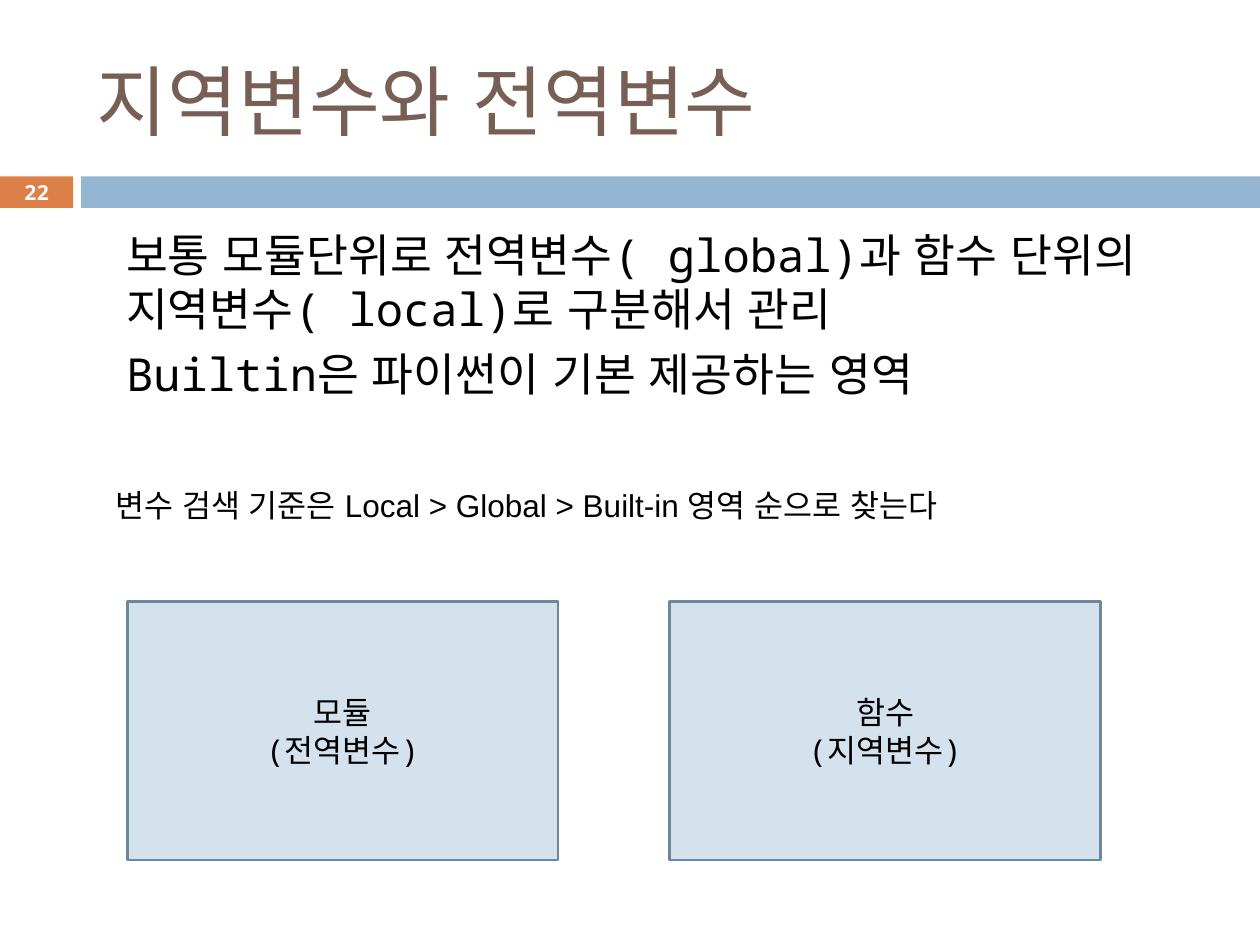
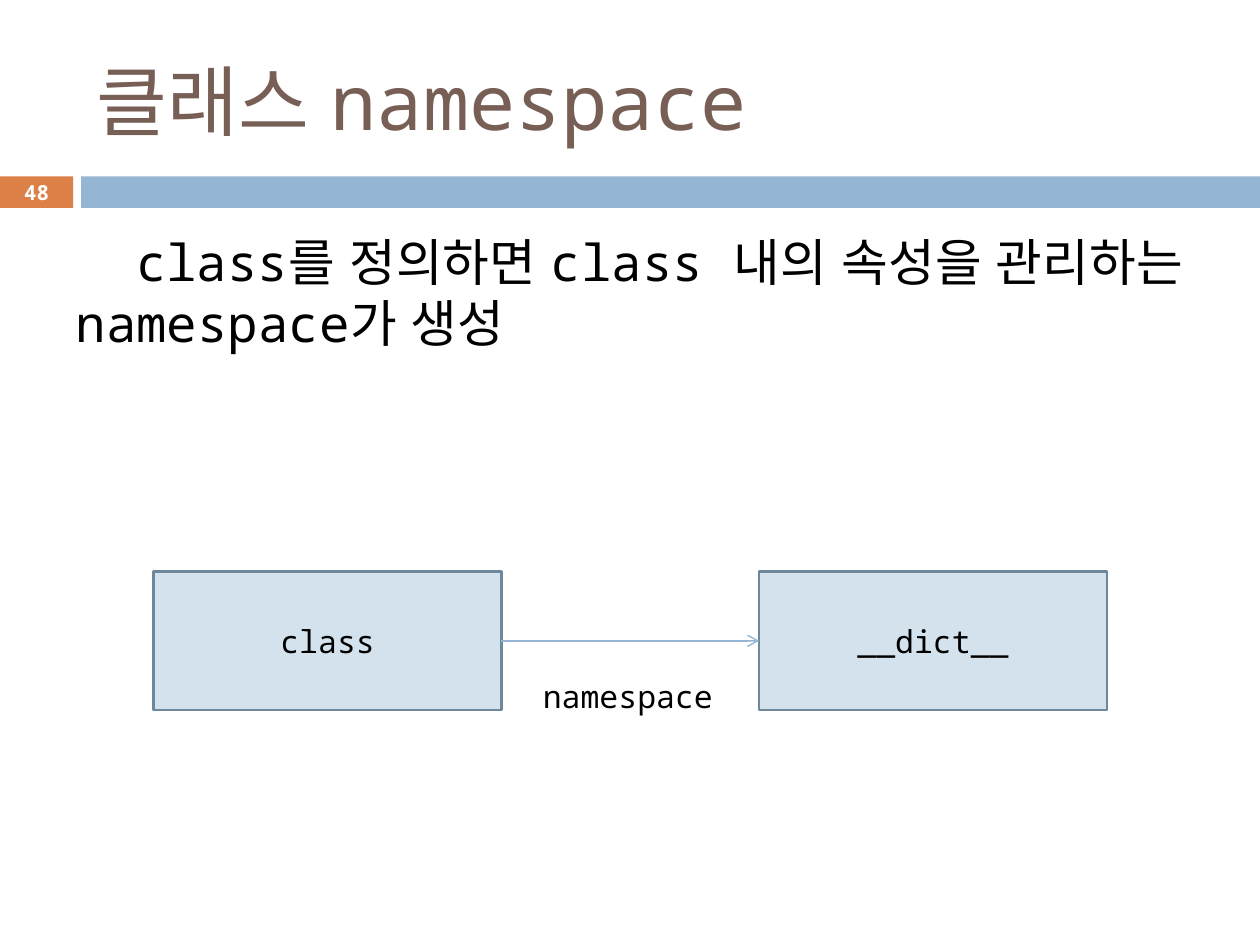
from lxml.etree import SubElement
from pptx import Presentation
from pptx.dml.color import RGBColor
from pptx.enum.shapes import MSO_CONNECTOR, MSO_SHAPE
from pptx.enum.text import MSO_ANCHOR, MSO_AUTO_SIZE, PP_ALIGN
from pptx.oxml.ns import qn
from pptx.util import Inches, Pt

COLS, ROWS = 100, 75
MONO, SANS = "Noto Sans Mono", "Arial"
BLACK, WHITE, BROWN = "000000", "FFFFFF", "775F55"
ORANGE, BLUE, PALE, EDGE = "DD8047", "94B6D2", "D4E2ED", "6D879B"


def rgb(code):
    """Turn a hex string into a colour."""
    return RGBColor.from_string(code)


def write(tf, text, size=18, font=MONO, color=BLACK, bold=False, align=PP_ALIGN.LEFT,
          anchor=MSO_ANCHOR.TOP, wrap=True, before=0, margin=None, indent=0):
    """Fill a text frame with one paragraph per line of text."""
    tf.word_wrap, tf.auto_size, tf.vertical_anchor = wrap, MSO_AUTO_SIZE.NONE, anchor
    for i, line in enumerate(text.split("\n")):
        p = tf.paragraphs[0] if i == 0 else tf.add_paragraph()
        p.alignment, p.space_before = align, Pt(before if i else 0)
        if margin is not None:
            pPr = p._p.get_or_add_pPr()
            pPr.set("marL", str(Inches(margin)))
            pPr.set("indent", str(Inches(indent)))
            SubElement(pPr, qn("a:buNone"))
        r = p.add_run()
        r.text = line
        r.font.size, r.font.name, r.font.bold = Pt(size), font, bold
        r.font.color.rgb = rgb(color)
        SubElement(r._r.get_or_add_rPr(), qn("a:ea")).set("typeface", SANS)


class Deck:
    """Hold the presentation, its style and the current slide."""

    def __init__(self):
        """Start an empty deck."""
        self.prs = Presentation()
        self.prs.slide_width, self.prs.slide_height = Inches(10), Inches(7.5)

    def at(self, x, y, w, h):
        """Convert grid columns and rows to lengths."""
        col, row = self.prs.slide_width / COLS, self.prs.slide_height / ROWS
        return int(x * col), int(y * row), int(w * col), int(h * row)

    def place(self, sp, *area):
        """Move a placeholder to a grid area."""
        sp.left, sp.top, sp.width, sp.height = self.at(*area)
        return sp.text_frame

    def slide(self, title, number):
        """Add a slide with its title, bands and page number."""
        self.s = self.prs.slides.add_slide(self.prs.slide_layouts[1])
        self.rect(0, 14, 5.8, 2.5, ORANGE)
        self.rect(6.45, 14, 93.55, 2.5, BLUE)
        write(self.place(self.s.shapes.title, 6.65, 2.5, 89.2, 10.8), title,
              size=44, color=BROWN, anchor=MSO_ANCHOR.MIDDLE)
        self.text(0, 13.9, 5.8, 2.7, str(number), size=11.9, color=WHITE, bold=True,
                  align=PP_ALIGN.CENTER, anchor=MSO_ANCHOR.MIDDLE)

    def body(self, y, h, text, **style):
        """Fill the body placeholder."""
        write(self.place(self.s.placeholders[1], 5, y, 90, h), text, **style)

    def text(self, x, y, w, h, text, **style):
        """Add a text box."""
        sp = self.s.shapes.add_textbox(*self.at(x, y, w, h))
        write(sp.text_frame, text, **style)

    def rect(self, x, y, w, h, fill, line=None):
        """Add a flat rectangle."""
        sp = self.s.shapes.add_shape(MSO_SHAPE.RECTANGLE, *self.at(x, y, w, h))
        sp.shadow.inherit = False
        sp.fill.solid()
        sp.fill.fore_color.rgb = rgb(fill)
        if line:
            sp.line.color.rgb, sp.line.width = rgb(line), Pt(1.5)
        else:
            sp.line.fill.background()
        return sp

    def boxes(self, x, y, w, h, step, labels):
        """Add a row of evenly spaced labelled boxes."""
        row = [self.rect(x + i * step, y, w, h, PALE, EDGE) for i in range(len(labels))]
        for sp, label in zip(row, labels):
            write(sp.text_frame, label, align=PP_ALIGN.CENTER, anchor=MSO_ANCHOR.MIDDLE)
        return row

    def arrow(self, start, end):
        """Join the facing sides of two boxes with an arrow."""
        c = self.s.shapes.add_connector(MSO_CONNECTOR.STRAIGHT, 0, 0, 0, 0)
        c.begin_connect(start, 3)
        c.end_connect(end, 1)
        c.line.color.rgb, c.line.width = rgb(BLUE), Pt(0.79)
        SubElement(c.line._get_or_add_ln(), qn("a:tailEnd")).set("type", "arrow")
        SubElement(c._element.spPr, qn("a:effectLst"))


def main():
    """Build and save both slides."""
    deck = Deck()

    deck.slide("지역변수와 전역변수", 22)
    deck.body(17.5, 18.4, "보통 모듈단위로 전역변수( global)과 함수 단위의 지역변수( local)로 구분해서 관리\n"
              "Builtin은 파이썬이 기본 제공하는 영역", size=26, before=5.5, margin=0.4)
    deck.text(8.2, 38.05, 84.3, 4, "변수 검색 기준은 Local > Global > Built-in 영역 순으로 찾는다", font=SANS)
    deck.boxes(10.1, 47.75, 34.2, 20.5, 43.05, ["모듈\n(전역변수)", "함수\n(지역변수)"])

    deck.slide("클래스 namespace", 48)
    deck.body(17.8, 18.1, "class를 정의하면 class 내의 속성을 관리하는 namespace가 생성",
              size=29, margin=0, indent=0.48)
    deck.arrow(*deck.boxes(12.2, 45.36, 27.6, 11, 48.05, ["class", "__dict__"]))
    deck.text(42.1, 53.25, 15.7, 4, "namespace", wrap=False)

    deck.prs.save("out.pptx")


if __name__ == "__main__":
    main()
